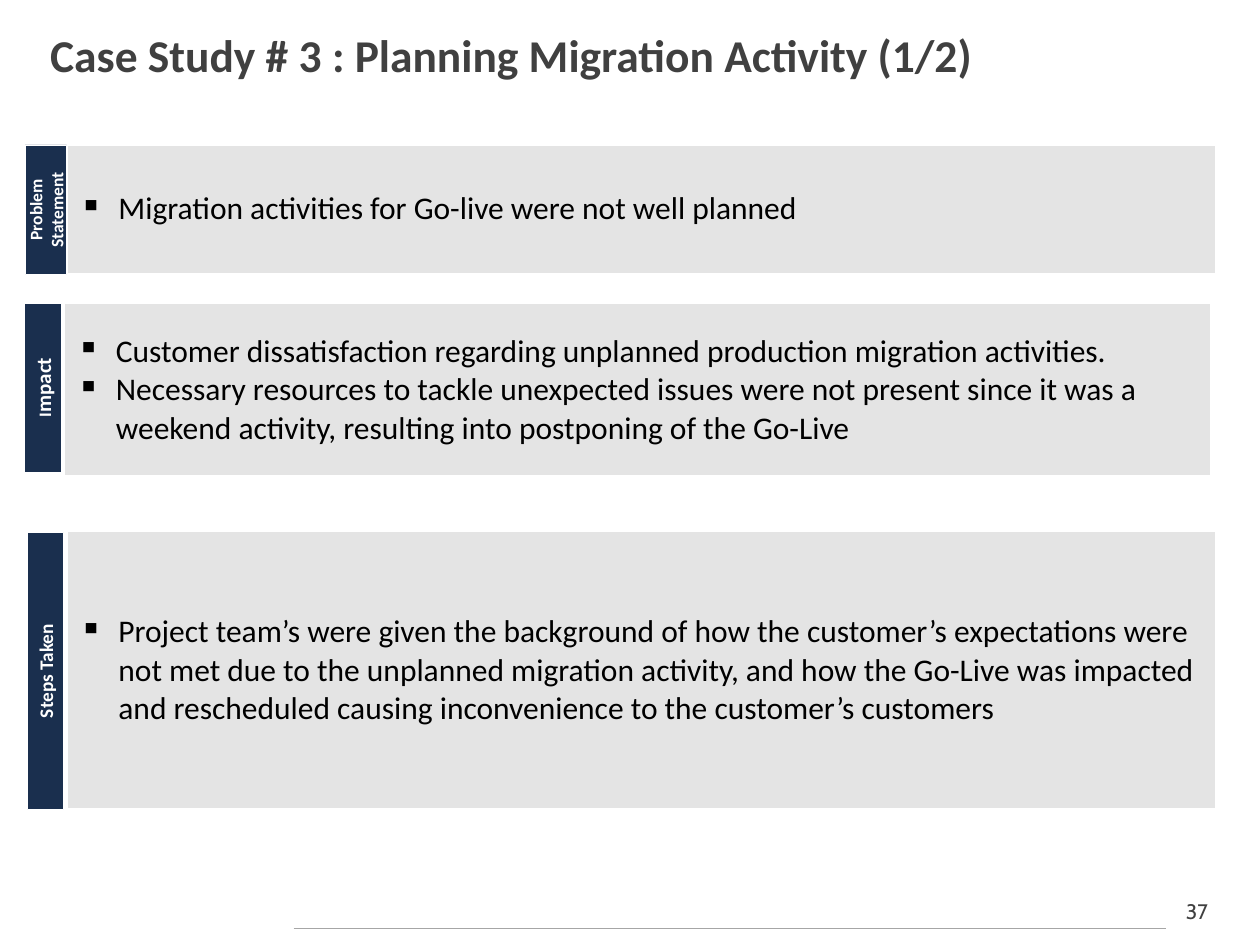
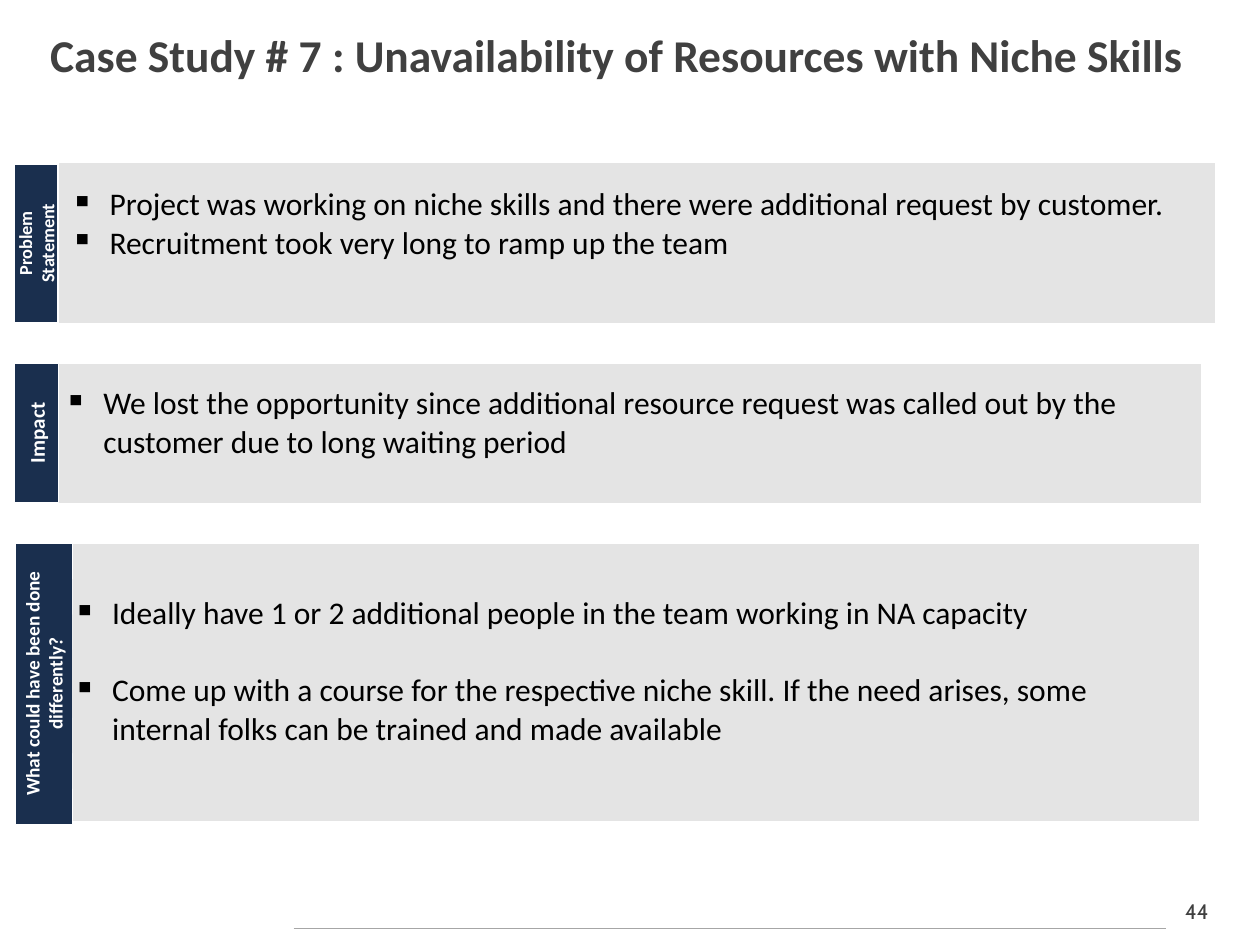
from lxml.etree import SubElement
from pptx import Presentation
from pptx.dml.color import RGBColor
from pptx.enum.shapes import MSO_CONNECTOR, MSO_SHAPE
from pptx.enum.text import MSO_ANCHOR, PP_ALIGN
from pptx.oxml.ns import qn
from pptx.util import Emu, Inches, Pt

COLUMNS, ROWS = 100, 75
CELL = Inches(0.1)
NAVY, PANEL, WHITE, BLACK = "1A2F4E", "E4E4E4", "FFFFFF", "000000"
TITLE_GREY, RULE_GREY = "404040", "A6A6A6"
BODY_FONT, NUMBER_FONT = "Calibri", "Cabin"
HANGING_INDENT = Inches(0.31)

CASE_STUDIES = [
    {
        "title": "Case Study # 3 : Planning Migration Activity (1/2)",
        "number": "37",
        "sections": [
            {
                "label": [[("Problem", 10)], [("Statement", 10)]],
                "band": (2, 11.5, 3.3, 10.3),
                "panel": (5.3, 11.5, 91.2, 10.2),
                "bullets": ["Migration activities for Go-live were not well planned"],
            },
            {
                "label": [[("I", 10), ("mpact", 12)]],
                "band": (1.95, 24.05, 2.9, 13.4),
                "panel": (5.1, 24.1, 91, 13.7),
                "bullets": [
                    "Customer dissatisfaction regarding unplanned production migration activities.",
                    "Necessary resources to tackle unexpected issues were not present since it was a "
                    "weekend activity, resulting into postponing of the Go-Live",
                ],
            },
            {
                "label": [[("Steps Taken", 11)]],
                "band": (2.15, 42.25, 2.9, 22),
                "panel": (5.3, 42.2, 91.2, 22),
                "bullets": [
                    "Project team’s were given the background of how the customer’s expectations were "
                    "not met due to the unplanned migration activity, and how the Go-Live was impacted "
                    "and rescheduled causing inconvenience to the customer’s customers",
                ],
            },
        ],
    },
    {
        "title": "Case Study # 7 : Unavailability of Resources with Niche Skills",
        "number": "44",
        "sections": [
            {
                "label": [[("Problem Statement", 10.5)]],
                "band": (1.15, 13.05, 3.4, 12.5),
                "panel": (4.6, 12.9, 91.9, 12.8),
                "bullets": [
                    "Project was working on niche skills and there were additional request by customer.",
                    "Recruitment took very long to ramp up the team",
                ],
                "lift": 3,
            },
            {
                "label": [[("Impact", 12)]],
                "band": (1.15, 28.85, 3.5, 11),
                "panel": (4.1, 28.8, 91.3, 11.2),
                "bullets": [
                    "We lost the opportunity since additional resource request was called out by the "
                    "customer due to long waiting period",
                ],
                "lift": 1.6,
            },
            {
                "label": [[("What could have been done differently?", 11)]],
                "band": (1.2, 43.1, 4.5, 22.3),
                "panel": (4.8, 43.1, 90.4, 22.1),
                "bullets": [
                    "Ideally have 1 or 2 additional people in the team working in NA capacity",
                    "Come up with a course for the respective niche skill. If the need arises, some "
                    "internal folks can be trained and made available",
                ],
                "lift": 1.7,
                "gap": 22,
            },
        ],
    },
]


def grid(*lengths):
    return [Emu(round(length * CELL)) for length in lengths]


def color(value):
    return RGBColor.from_string(value)


def write_text(paragraph, text, size=18, font=BODY_FONT, fill=BLACK, bold=False, align=PP_ALIGN.LEFT):
    paragraph.alignment = align
    run = paragraph.add_run()
    run.text = text
    run.font.size = Pt(size)
    run.font.name = font
    run.font.bold = bold
    run.font.color.rgb = color(fill)


def add_text_box(slide, box, text, anchor=MSO_ANCHOR.TOP, **text_format):
    frame = slide.shapes.add_textbox(*grid(*box)).text_frame
    frame.word_wrap = True
    frame.vertical_anchor = anchor
    write_text(frame.paragraphs[0], text, **text_format)


def add_rule(slide, start, end):
    connector = slide.shapes.add_connector(MSO_CONNECTOR.STRAIGHT, *grid(*start, *end))
    connector.line.color.rgb = color(RULE_GREY)
    connector.line.width = Pt(0.75)
    SubElement(connector._element.spPr, qn("a:effectLst"))


def set_borders(cell):
    properties = cell._tc.get_or_add_tcPr()
    for side in ("L", "R", "T", "B"):
        line = SubElement(properties, qn(f"a:ln{side}"), w=str(Pt(1)))
        fill = SubElement(line, qn("a:solidFill"))
        SubElement(fill, qn("a:srgbClr"), val=WHITE)


def set_bullet(paragraph):
    properties = paragraph._p.get_or_add_pPr()
    properties.set("marL", str(HANGING_INDENT))
    properties.set("indent", str(-HANGING_INDENT))
    SubElement(properties, qn("a:buChar"), char="▪")


def add_panel(slide, box, bullets, lift=0, gap=0):
    table = slide.shapes.add_table(1, 1, *grid(*box)).table
    table.first_row = False
    table.horz_banding = False
    cell = table.cell(0, 0)
    set_borders(cell)
    cell.fill.solid()
    cell.fill.fore_color.rgb = color(PANEL)
    cell.vertical_anchor = MSO_ANCHOR.MIDDLE
    cell.margin_bottom = grid(0.5 + lift)[0]
    for index, bullet in enumerate(bullets):
        frame = cell.text_frame
        paragraph = frame.add_paragraph() if index else frame.paragraphs[0]
        write_text(paragraph, bullet)
        if index and gap:
            paragraph.space_before = Pt(gap)
        set_bullet(paragraph)


def add_side_label(slide, band, lines):
    left, top, width, height = band
    shift = (height - width) / 2
    shape = slide.shapes.add_shape(
        MSO_SHAPE.RECTANGLE, *grid(left - shift, top + shift, height, width))
    shape.rotation = 270
    shape.shadow.inherit = False
    shape.fill.solid()
    shape.fill.fore_color.rgb = color(NAVY)
    shape.line.color.rgb = color(WHITE)
    shape.line.width = Pt(0.25)
    frame = shape.text_frame
    frame.word_wrap = True
    frame.vertical_anchor = MSO_ANCHOR.MIDDLE
    for index, line in enumerate(lines):
        paragraph = frame.add_paragraph() if index else frame.paragraphs[0]
        for text, size in line:
            write_text(paragraph, text, size=size, fill=WHITE, bold=True, align=PP_ALIGN.CENTER)


def add_frame(slide, title, number):
    add_text_box(slide, (92.5, 70.8, 5, 3), number, size=12, font=NUMBER_FONT,
                 fill=TITLE_GREY, align=PP_ALIGN.CENTER)
    add_rule(slide, (23.3, 73.7), (92.5, 73.7))
    add_text_box(slide, (3, 1.2, 93.6, 6.3), title, anchor=MSO_ANCHOR.MIDDLE,
                 size=26, fill=TITLE_GREY, bold=True)


def add_case_study(presentation, study):
    slide = presentation.slides.add_slide(presentation.slide_layouts[6])
    slide.background.fill.solid()
    slide.background.fill.fore_color.rgb = color(WHITE)
    add_frame(slide, study["title"], study["number"])
    for section in study["sections"]:
        add_panel(slide, section["panel"], section["bullets"],
                  section.get("lift", 0), section.get("gap", 0))
        add_side_label(slide, section["band"], section["label"])


def main():
    presentation = Presentation()
    presentation.slide_width, presentation.slide_height = grid(COLUMNS, ROWS)
    for study in CASE_STUDIES:
        add_case_study(presentation, study)
    presentation.save("out.pptx")


main()
